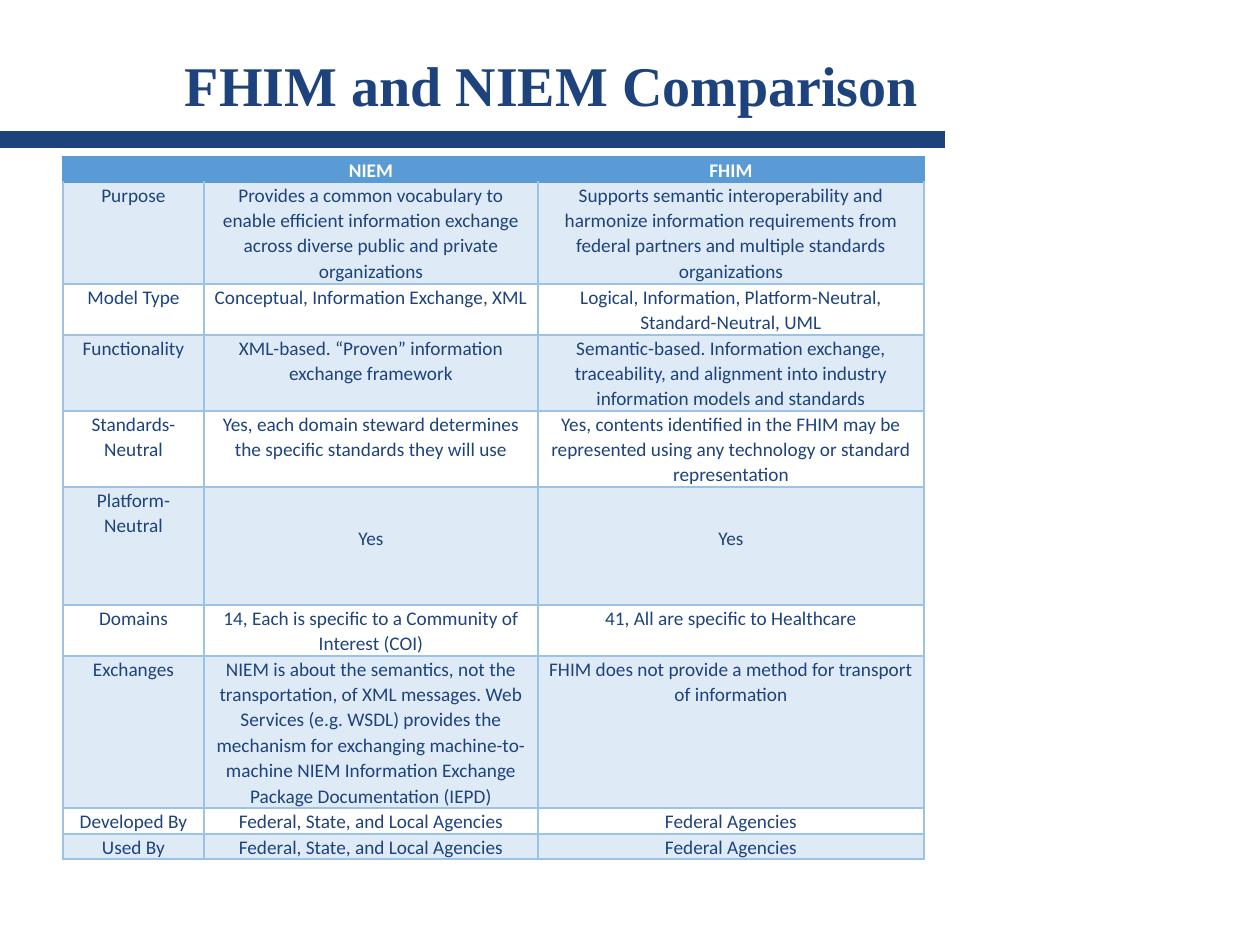
from lxml import etree
from pptx import Presentation
from pptx import util as u
from pptx.dml import color
from pptx.enum import shapes, text
from pptx.oxml import ns

PX_PER_INCH = 126
NAVY, BLUE, SKY, PALE, WHITE = "1D427C", "5B9BD5", "9CC2E5", "DEEAF6", "FFFFFF"

COLUMNS = [141, 334, 386]
# Each row is tall enough for its longest cell
ROW_HEIGHTS = [25, 102, 51, 76, 76, 118, 51, 152, 26, 25]
ROWS = [
    ("", "NIEM", "FHIM"),
    ("Purpose",
     "Provides a common vocabulary to enable efficient information exchange across "
     "diverse public and private organizations",
     "Supports semantic interoperability and harmonize information requirements from "
     "federal partners and multiple standards organizations"),
    ("Model Type", "Conceptual, Information Exchange, XML",
     "Logical, Information, Platform-Neutral, Standard-Neutral, UML"),
    ("Functionality", "XML-based. “Proven” information exchange framework",
     "Semantic-based. Information exchange, traceability, and alignment into industry "
     "information models and standards"),
    ("Standards-Neutral",
     "Yes, each domain steward determines the specific standards they will use",
     "Yes, contents identified in the FHIM may be represented using any technology or "
     "standard representation"),
    ("Platform-Neutral", "Yes", "Yes"),
    ("Domains", "14, Each is specific to a Community of Interest (COI)",
     "41, All are specific to Healthcare"),
    ("Exchanges",
     "NIEM is about the semantics, not the transportation, of XML messages. Web Services "
     "(e.g. WSDL) provides the mechanism for exchanging machine-to-machine NIEM "
     "Information Exchange Package Documentation (IEPD)",
     "FHIM does not provide a method for transport of information"),
    ("Developed By", "Federal, State, and Local Agencies", "Federal Agencies"),
    ("Used By", "Federal, State, and Local Agencies", "Federal Agencies"),
]


def px(length):
    return u.Emu(round(length * 914400 / PX_PER_INCH))


def rgb(value):
    return color.RGBColor.from_string(value)


def apply(target, **values):
    for name, value in values.items():
        setattr(target, name, value)


def write(para, content, fill, para_format, font_format):
    apply(para, **para_format)
    if content:
        span = para.add_run()
        span.text = content
        apply(span.font, **font_format)
        span.font.color.rgb = rgb(fill)
    else:
        # An empty cell still needs its text size, or its row grows
        size = str(int(font_format["size"].pt * 100))
        etree.SubElement(para._p, ns.qn("a:endParaRPr"), sz=size)


def add_borders(cell, sides):
    properties = cell._tc.get_or_add_tcPr()
    for side in "LRTB":
        line = etree.SubElement(properties, ns.qn("a:ln" + side), w=str(u.Pt(1)))
        fill = etree.SubElement(line, ns.qn("a:solidFill"))
        etree.SubElement(fill, ns.qn("a:srgbClr"), val=sides[side])


def add_heading(page, left, top, width, height):
    bar_height = 17
    title_height = height - bar_height

    # Rule under the title, from the edge of the page
    bar = page.shapes.add_shape(shapes.MSO_SHAPE.RECTANGLE, px(0), px(top + title_height),
                                px(left + width), px(bar_height))
    bar.shadow.inherit = False
    bar.fill.solid()
    bar.fill.fore_color.rgb = rgb(NAVY)
    bar.line.fill.background()

    # Title
    box = page.shapes.add_textbox(px(left), px(top), px(width), px(title_height))
    apply(box.text_frame, word_wrap=True, vertical_anchor=text.MSO_ANCHOR.MIDDLE)
    write(box.text_frame.paragraphs[0], "FHIM and NIEM Comparison ", NAVY,
          {"alignment": text.PP_ALIGN.RIGHT},
          {"name": "Times New Roman", "size": u.Pt(32), "bold": True})


def format_cell(cell, content, row):
    header = row == 0
    edge = BLUE if header else SKY
    add_borders(cell, dict.fromkeys("LRB", edge) | {"T": BLUE if row <= 1 else SKY})
    if header or row % 2:
        cell.fill.solid()
        cell.fill.fore_color.rgb = rgb(BLUE if header else PALE)
    else:
        cell.fill.background()

    # A lone "Yes" sits lower in its tall row
    drop = 38 if content == "Yes" else 0
    apply(cell, margin_left=px(9), margin_right=px(9), margin_top=px(drop), margin_bottom=0)
    write(cell.text_frame.paragraphs[0], content, WHITE if header else NAVY,
          {"alignment": text.PP_ALIGN.CENTER, "line_spacing": 1.07, "space_after": u.Pt(8)},
          {"name": "Calibri", "size": u.Pt(11), "bold": header})


def add_comparison(page, left, top):
    frame = page.shapes.add_table(len(ROWS), len(COLUMNS), px(left), px(top),
                                  px(sum(COLUMNS)), px(sum(ROW_HEIGHTS)))
    table = frame.table
    apply(table, first_row=False, horz_banding=False)
    for column, width in zip(table.columns, COLUMNS):
        column.width = px(width)
    for row, (contents, height) in enumerate(zip(ROWS, ROW_HEIGHTS)):
        table.rows[row].height = px(height)
        for column, content in enumerate(contents):
            format_cell(table.cell(row, column), content, row)


def main():
    deck = Presentation()
    apply(deck, slide_width=px(1260), slide_height=px(945))
    page = deck.slides.add_slide(deck.slide_layouts[6])
    add_heading(page, 63, 38, 882, 110)
    add_comparison(page, 63, 157)
    deck.save("out.pptx")


if __name__ == "__main__":
    main()
